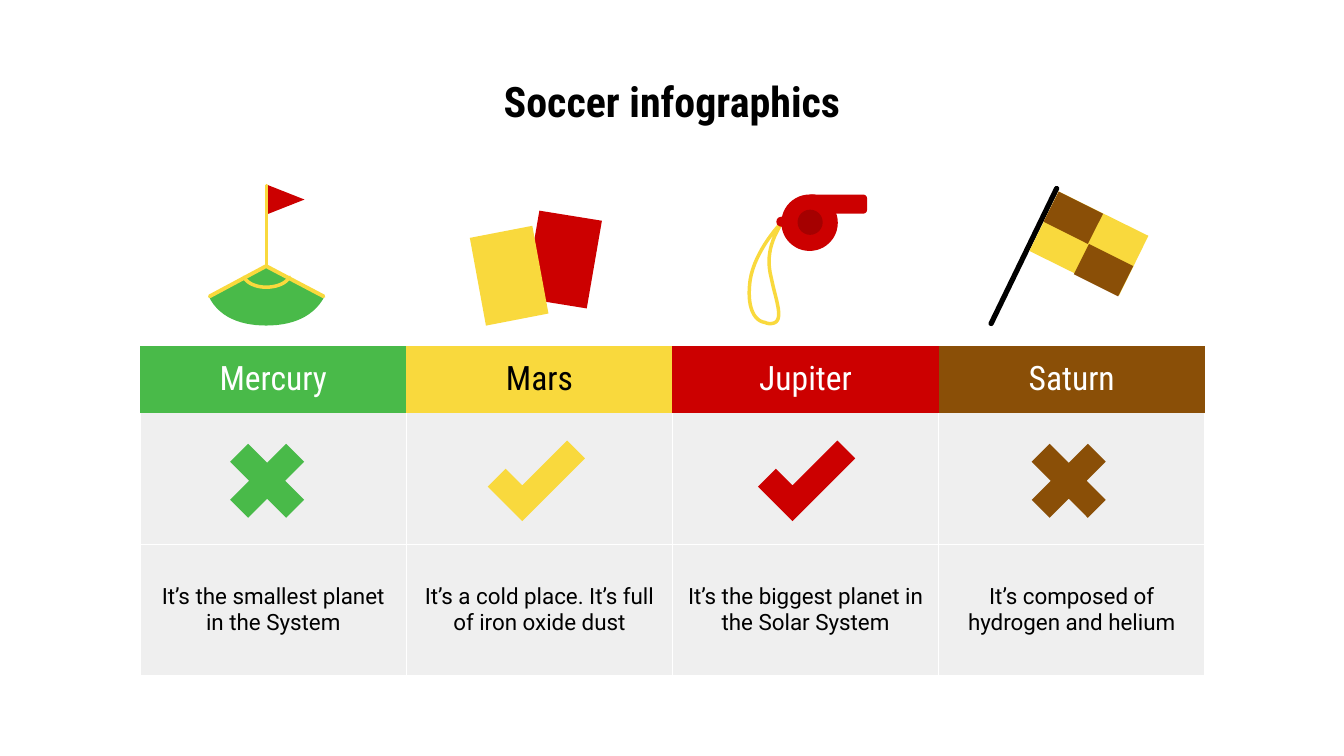
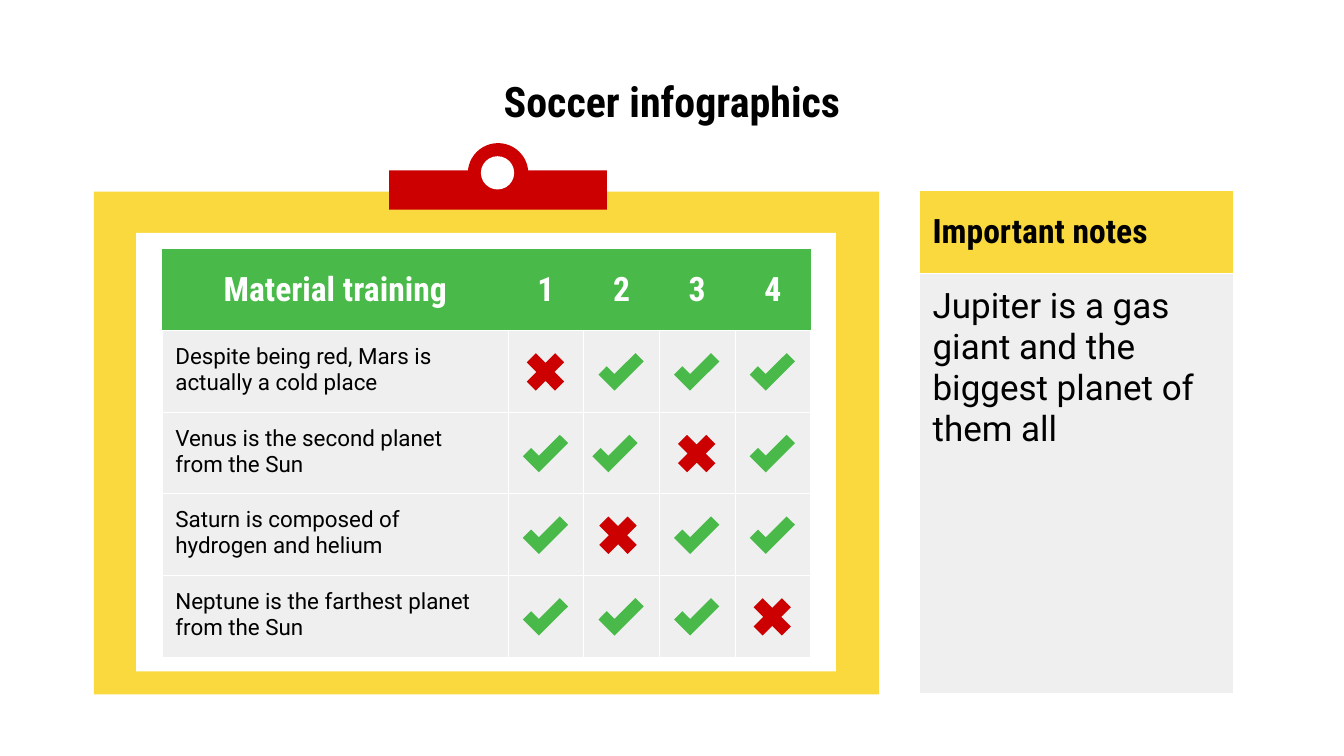
from lxml import etree
from pptx import Presentation
from pptx.dml.color import RGBColor
from pptx.enum.shapes import MSO_CONNECTOR as CONNECTOR, MSO_SHAPE as SHAPE
from pptx.enum.text import MSO_ANCHOR as ANCHOR, PP_ALIGN as ALIGN
from pptx.oxml.ns import qn
from pptx.util import Inches, Pt

# Shared style
GREEN, YELLOW, RED, BROWN = "49BA49", "F9D93D", "CC0000", "8A4F07"
BLACK, WHITE, GREY, DARK_RED = "000000", "FFFFFF", "EFEFEF", "A50000"
BODY_FONT, HEAD_FONT = "Roboto", "Roboto Condensed"
INSET = Inches(0.13)
TITLE = "Soccer infographics"


def rgb(color):
    return RGBColor.from_string(color)


# Text
def set_margins(target):
    target.margin_left = target.margin_right = INSET
    target.margin_top = target.margin_bottom = INSET


def write(frame, text, size, font=BODY_FONT, color=BLACK, bold=False, align=ALIGN.LEFT):
    paragraph = frame.paragraphs[0]
    paragraph.alignment = align
    run = paragraph.add_run()
    run.text = text
    run.font.size = Pt(size)
    run.font.name = font
    run.font.bold = bold
    run.font.color.rgb = rgb(color)
    return paragraph


def add_titled_slide(presentation):
    slide = presentation.slides.add_slide(presentation.slide_layouts[6])
    box = slide.shapes.add_textbox(Inches(1.04), Inches(0.79), Inches(11.25), Inches(0.6))
    frame = box.text_frame
    frame.word_wrap = True
    frame.vertical_anchor = ANCHOR.MIDDLE
    set_margins(frame)
    paragraph = write(frame, TITLE, 30, HEAD_FONT, bold=True, align=ALIGN.CENTER)
    paragraph.line_spacing = 0.5
    return slide


# Shapes and lines
def add_filled(shapes, kind, left, top, width, height, color, adjust=None):
    shape = shapes.add_shape(kind, Inches(left), Inches(top), Inches(width), Inches(height))
    shape.shadow.inherit = False
    shape.fill.solid()
    shape.fill.fore_color.rgb = rgb(color)
    shape.line.fill.background()
    if adjust is not None:
        shape.adjustments[0] = adjust
    return shape


def set_stroke(line, color, width):
    line.color.rgb = rgb(color)
    line.width = Pt(width)
    line._get_or_add_ln().set("cap", "rnd")


def add_line(shapes, start, end, color, width):
    ends = [Inches(value) for value in (*start, *end)]
    connector = shapes.add_connector(CONNECTOR.STRAIGHT, *ends)
    set_stroke(connector.line, color, width)
    etree.SubElement(connector._element.spPr, qn("a:effectLst"))


def trace(start, *segments, steps=14):
    """Points along straight (x, y) and cubic (x1, y1, x2, y2, x, y) segments."""
    points = [start]
    for segment in segments:
        if len(segment) == 2:
            points.append(segment)
            continue
        corners = [points[-1], segment[:2], segment[2:4], segment[4:]]
        for step in range(1, steps + 1):
            t = step / steps
            weights = ((1 - t) ** 3, 3 * t * (1 - t) ** 2, 3 * t * t * (1 - t), t ** 3)
            points.append(tuple(
                sum(weight * corner[axis] for weight, corner in zip(weights, corners))
                for axis in (0, 1)))
    return points


def add_outline(shapes, points, closed):
    emu = [(Inches(x), Inches(y)) for x, y in points]
    builder = shapes.build_freeform(*emu[0])
    builder.add_line_segments(emu[1:], close=closed)
    shape = builder.convert_to_shape()
    shape.shadow.inherit = False
    return shape


def add_area(shapes, points, color):
    shape = add_outline(shapes, points, True)
    shape.fill.solid()
    shape.fill.fore_color.rgb = rgb(color)
    shape.line.fill.background()


def add_stroke(shapes, points, color, width):
    shape = add_outline(shapes, points, False)
    shape.fill.background()
    set_stroke(shape.line, color, width)


def add_panel(shapes, corner, across, down, color):
    """Tilted rectangle spanned by two edge vectors."""
    (x, y), (ax, ay), (dx, dy) = corner, across, down
    add_area(shapes, [(x, y), (x + ax, y + ay), (x + ax + dx, y + ay + dy),
                      (x + dx, y + dy)], color)


# Check and cross marks, centred on a point
def add_check(shapes, x, y, color, long_arm):
    unit = long_arm * 0.5 ** 0.5
    thick, short = 0.285, 0.55
    steps = [(0, 0), (1, 0), (1, thick), (thick, thick), (thick, short), (0, short)]
    left = x - unit * (1 - short) / 2
    bottom = y + unit * (1 + thick) / 2
    add_area(shapes, [(left + unit * (rise - back), bottom - unit * (rise + back))
                      for rise, back in steps], color)


def add_cross(shapes, x, y, color, size):
    add_filled(shapes, SHAPE.MATH_MULTIPLY, x - size / 2, y - size / 2, size, size, color, 0.235)


# Tables
def set_borders(cell, visible):
    properties = cell._tc.get_or_add_tcPr()
    for side in "LRTB":
        line = etree.SubElement(properties, qn(f"a:ln{side}"), w=str(Pt(0.75)))
        if side in visible:
            fill = etree.SubElement(line, qn("a:solidFill"))
            etree.SubElement(fill, qn("a:srgbClr"), val=WHITE)
        else:
            etree.SubElement(line, qn("a:noFill"))


def add_table(slide, left, top, widths, heights, header_fills, header_edges):
    """Grid with a coloured header row above grey cells."""
    frame = slide.shapes.add_table(len(heights), len(widths), Inches(left), Inches(top),
                                   Inches(sum(widths)), Inches(sum(heights)))
    table = frame.table
    table.first_row = table.horz_banding = False
    for column, width in zip(table.columns, widths):
        column.width = Inches(width)
    for row_index, height in enumerate(heights):
        table.rows[row_index].height = Inches(height)
        if row_index == 0:
            edges = header_edges
        elif row_index == 1 and not header_edges:
            edges = "LRB"
        else:
            edges = "LRTB"
        for column_index, header_fill in enumerate(header_fills):
            cell = table.cell(row_index, column_index)
            set_margins(cell)
            set_borders(cell, edges)
            cell.fill.solid()
            cell.fill.fore_color.rgb = rgb(GREY if row_index else header_fill)
    return table


def write_cell(cell, text, size, anchor=ANCHOR.MIDDLE, **style):
    cell.vertical_anchor = anchor
    write(cell.text_frame, text, size, **style)


# Icons
def draw_corner_flag(shapes):
    add_area(shapes, trace((2.64, 2.63), (2.07, 2.94), (2.17, 3.15, 2.39, 3.23, 2.64, 3.23),
                           (2.89, 3.23, 3.11, 3.15, 3.22, 2.94)), GREEN)
    add_area(shapes, [(2.64, 1.83), (2.64, 2.13), (3.02, 1.98)], RED)
    add_stroke(shapes, trace((2.42, 2.75), (2.47, 2.84, 2.6, 2.85, 2.64, 2.85),
                             (2.68, 2.85, 2.82, 2.84, 2.87, 2.75)), YELLOW, 2.5)
    add_stroke(shapes, [(2.08, 2.94), (2.64, 2.64), (3.21, 2.94)], YELLOW, 2.75)
    add_line(shapes, (2.64, 1.84), (2.64, 2.63), YELLOW, 2.25)


def draw_cards(shapes):
    add_panel(shapes, (5.35, 2.09), (0.62, 0.1), (-0.15, 0.87), RED)
    add_panel(shapes, (4.66, 2.36), (0.62, -0.12), (0.16, 0.87), YELLOW)


def draw_whistle(shapes):
    cord = trace((7.76, 2.2), (7.69, 2.27, 7.48, 2.52, 7.44, 2.78),
                 (7.41, 2.99, 7.45, 3.18, 7.59, 3.2), (7.63, 3.22, 7.68, 3.21, 7.7, 3.19),
                 (7.75, 3.14, 7.71, 3.01, 7.67, 2.85), (7.65, 2.76),
                 (7.58, 2.5, 7.69, 2.32, 7.76, 2.2))
    add_stroke(shapes, cord, YELLOW, 2.5)
    add_filled(shapes, SHAPE.OVAL, 7.7, 2.15, 0.1, 0.1, RED)
    add_filled(shapes, SHAPE.OVAL, 7.75, 1.93, 0.56, 0.56, RED)
    add_filled(shapes, SHAPE.ROUNDED_RECTANGLE, 8, 1.93, 0.6, 0.19, RED, 0.2)
    add_filled(shapes, SHAPE.OVAL, 7.91, 2.08, 0.25, 0.25, DARK_RED)


def draw_checkered_flag(shapes):
    add_line(shapes, (10.48, 1.87), (9.83, 3.21), BLACK, 3.75)
    add_panel(shapes, (10.5, 1.9), (0.89, 0.44), (-0.29, 0.59), YELLOW)
    for corner in ((10.5, 1.9), (10.8, 2.42)):
        add_panel(shapes, corner, (0.44, 0.22), (-0.15, 0.3), BROWN)


# Slides
def build_comparison(presentation):
    slide = add_titled_slide(presentation)
    planets = [
        ("Mercury", GREEN, WHITE, add_cross, 2.65, "It’s the smallest planet in the System"),
        ("Mars", YELLOW, BLACK, add_check, 5.32, "It’s a cold place. It’s full of iron oxide dust"),
        ("Jupiter", RED, WHITE, add_check, 8, "It’s the biggest planet in the Solar System"),
        ("Saturn", BROWN, WHITE, add_cross, 10.6, "It’s composed of hydrogen and helium"),
    ]
    for draw_icon in (draw_corner_flag, draw_cards, draw_whistle, draw_checkered_flag):
        draw_icon(slide.shapes.add_group_shape().shapes)
    table = add_table(slide, 1.39, 3.43, [2.64] * 4, [0.67, 1.3, 1.3],
                      [planet[1] for planet in planets], "")
    for index, (name, fill, color, add_mark, mark_x, fact) in enumerate(planets):
        write_cell(table.cell(0, index), name, 24, ANCHOR.TOP, font=HEAD_FONT, color=color,
                   align=ALIGN.CENTER)
        write_cell(table.cell(2, index), fact, 16, align=ALIGN.CENTER)
        size = 1.07 if add_mark is add_cross else 0.88
        add_mark(slide.shapes, mark_x, 4.77, fill, size)


def draw_clipboard(shapes):
    add_filled(shapes, SHAPE.RECTANGLE, 0.93, 1.9, 7.79, 4.99, YELLOW)
    add_filled(shapes, SHAPE.RECTANGLE, 1.35, 2.31, 6.94, 4.35, WHITE)
    add_filled(shapes, SHAPE.RECTANGLE, 3.86, 1.69, 2.16, 0.39, RED)
    add_filled(shapes, SHAPE.OVAL, 4.64, 1.42, 0.6, 0.6, RED)
    add_filled(shapes, SHAPE.OVAL, 4.77, 1.55, 0.33, 0.33, WHITE)


def build_checklist(presentation):
    slide = add_titled_slide(presentation)
    draw_clipboard(slide.shapes.add_group_shape().shapes)

    # Training table: each fact has one cross, in the given column
    facts = [
        ("Despite being red, Mars is actually a cold place", 0),
        ("Venus is the second planet from the Sun", 2),
        ("Saturn is composed of hydrogen and helium", 1),
        ("Neptune is the farthest planet from the Sun", 3),
    ]
    nudges = {(1, 1): -0.06, (2, 1): -0.03}
    table = add_table(slide, 1.61, 2.47, [3.43] + [0.75] * 4, [0.81] * 5, [GREEN] * 5, "B")
    for index, heading in enumerate(["Material training", "1", "2", "3", "4"]):
        write_cell(table.cell(0, index), heading, 24, font=HEAD_FONT, color=WHITE, bold=True,
                   align=ALIGN.CENTER)
    for row, (fact, cross_column) in enumerate(facts):
        write_cell(table.cell(row + 1, 0), fact, 16, ANCHOR.TOP)
        for column in range(4):
            x = 5.41 + 0.75 * column + nudges.get((row, column), 0)
            y = 3.69 + 0.81 * row
            if column == cross_column:
                add_cross(slide.shapes, x, y, RED, 0.54)
            else:
                add_check(slide.shapes, x, y, GREEN, 0.41)

    # Notes
    notes = add_table(slide, 9.12, 1.89, [3.11], [0.82, 4.17], [YELLOW], "B")
    write_cell(notes.cell(0, 0), "Important notes", 24, font=HEAD_FONT, bold=True)
    write_cell(notes.cell(1, 0), "Jupiter is a gas giant and the biggest planet of them all",
               25, ANCHOR.TOP)


def main():
    presentation = Presentation()
    presentation.slide_width = Inches(13.33)
    presentation.slide_height = Inches(7.5)
    build_comparison(presentation)
    build_checklist(presentation)
    presentation.save("out.pptx")


if __name__ == "__main__":
    main()
